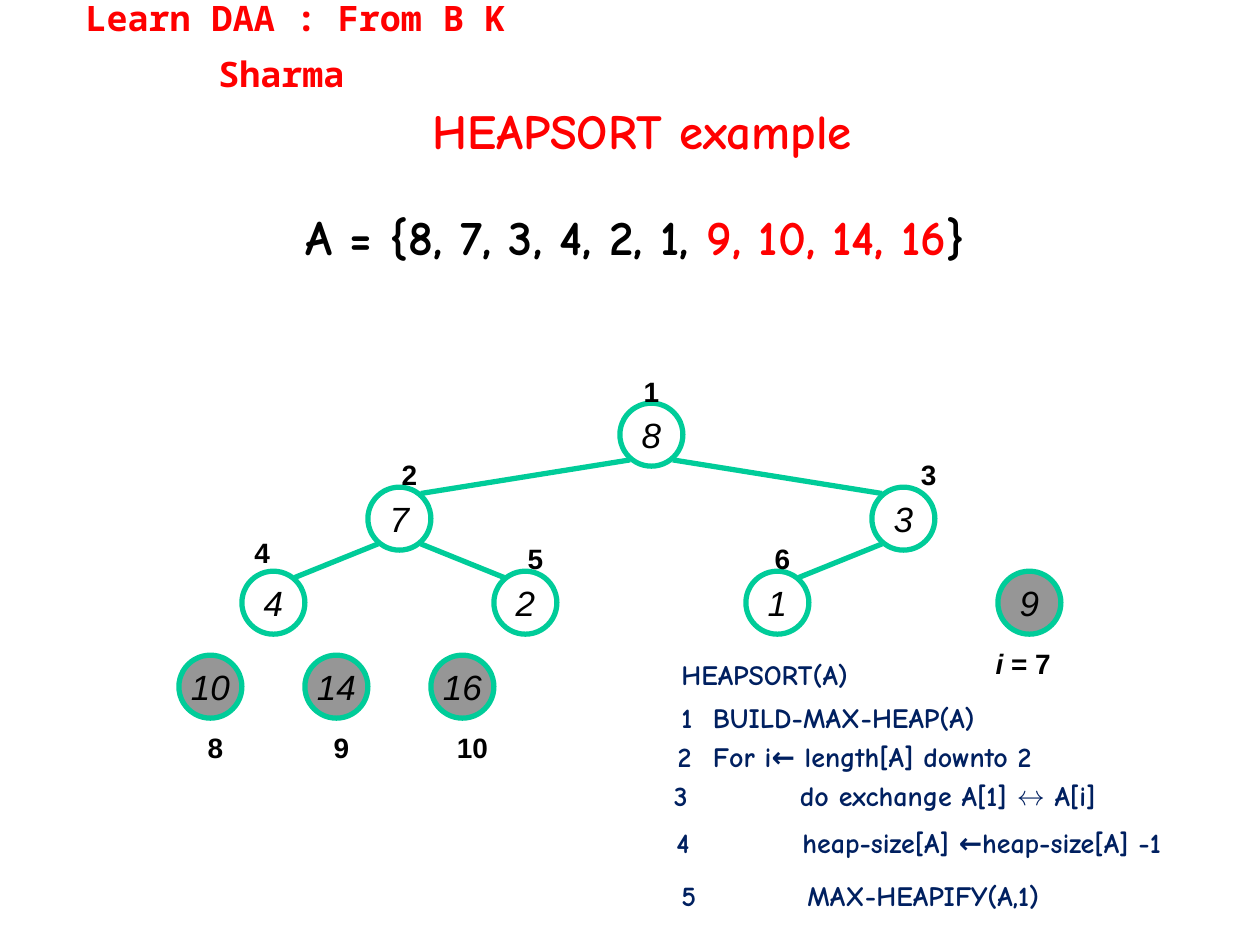
"""Build the heapsort example slide: array, heap tree and pseudocode."""
from lxml.etree import SubElement
from pptx import Presentation
from pptx.dml.color import RGBColor
from pptx.enum.shapes import MSO_CONNECTOR as Connector, MSO_SHAPE as Shape
from pptx.enum.text import MSO_ANCHOR as Anchor, PP_ALIGN as Align
from pptx.oxml.ns import qn
from pptx.util import Inches, Pt

GREEN, GREY, WHITE = "00CC99", "969696", "FFFFFF"
BLACK, RED, NAVY = "000000", "FF0000", "002060"
COLUMN, ROW, SIZE = 0.5, 2 / 3, 0.5
LEFT, TOP = 1.67, 3.45


def color(code):
    return RGBColor.from_string(code)


def write(box, spans, look, align=Align.CENTER, wrap=False):
    frame = box.text_frame
    frame.word_wrap = wrap
    para = frame.paragraphs[0]
    para.alignment = align
    for text, changes in spans:
        if text == "\n":
            para.add_line_break()
            continue
        span = para.add_run()
        span.text = text
        values = {**look, **changes}
        span.font.color.rgb = color(values.pop("color"))
        for name, value in values.items():
            setattr(span.font, name, value)
    return para


deck = Presentation()
deck.slide_width, deck.slide_height = Inches(10), Inches(7.5)
page = deck.slides.add_slide(deck.slide_layouts[6])

node_look = {"name": "Arial", "size": Pt(20), "italic": True, "color": BLACK}
label_look = {"name": "Arial", "size": Pt(16), "bold": True, "color": BLACK}
title_look = {"name": "Comic Neue", "size": Pt(28), "bold": True, "color": RED}
code_look = {**title_look, "size": Pt(16), "color": NAVY}
header_look = {**title_look, "name": "Noto Sans Mono", "size": Pt(20)}

nodes = [
    ("8", 7, 0, None), ("7", 3, 1, None), ("3", 11, 1, None),
    ("4", 1, 2, None), ("2", 5, 2, None), ("1", 9, 2, WHITE), ("9", 13, 2, GREY),
    ("10", 0, 3, GREY), ("14", 2, 3, GREY), ("16", 4, 3, GREY),
]
centers = []
for value, column, row, fill in nodes:
    x, y = LEFT + column * COLUMN, TOP + row * ROW
    centers.append((x, y))
    node = page.shapes.add_shape(
        Shape.OVAL, Inches(x - SIZE / 2), Inches(y - SIZE / 2), Inches(SIZE), Inches(SIZE))
    node.shadow.inherit = False
    if fill:
        node.fill.solid()
        node.fill.fore_color.rgb = color(fill)
    else:
        node.fill.background()
    node.line.color.rgb = color(GREEN)
    node.line.width = Pt(3)
    node.text_frame.vertical_anchor = Anchor.MIDDLE
    write(node, [(value, {})], node_look)

for child in range(1, 6):
    parent_x, parent_y = centers[(child - 1) // 2]
    child_x, child_y = centers[child]
    shift = 0.17 if child_x > parent_x else -0.17
    edge = page.shapes.add_connector(
        Connector.STRAIGHT, Inches(parent_x + shift), Inches(parent_y + 0.2),
        Inches(child_x - shift), Inches(child_y - 0.2))
    edge.line.color.rgb = color(GREEN)
    edge.line.width = Pt(3)
    SubElement(edge._element.spPr, qn("a:effectLst"))

labels = [
    ("1", 5.17, 2.92), ("2", 3.25, 3.58), ("3", 7.37, 3.58), ("4", 2.08, 4.2),
    ("5", 4.25, 4.25), ("6", 6.21, 4.25), ("8", 1.71, 5.75), ("9", 2.71, 5.75),
    ("10", 3.75, 5.75),
]
index_labels = [([(text, {})], x, y) for text, x, y in labels]
index_labels.append(([("i", {"italic": True}), (" = 7", {})], 8.12, 5.08))
for spans, x, y in index_labels:
    box = page.shapes.add_textbox(Inches(x - 0.42), Inches(y), Inches(0.84), Inches(0.37))
    write(box, spans, label_look, wrap=True)

headings = [
    (0.58, -0.08, 3.54, [("Learn DAA : From B K", {}), ("\n", {}), ("Sharma", {}),
                         (" ", {"size": Pt(28)})], header_look),
    (3.33, 0.75, 3.53, [("HEAPSORT example", {})], title_look),
    (1, 1.59, 8.08, [("A = {8, 7, 3, 4, 2, 1, ", {"color": BLACK}),
                     ("9, 10, 14, 16", {}), ("}", {"color": BLACK})], title_look),
]
for x, y, width, spans, look in headings:
    box = page.shapes.add_textbox(Inches(x), Inches(y), Inches(width), Inches(0.57))
    write(box, spans, look)

code_lines = [
    ("HEAPSORT(A)", 5.31, 5.17, 1.76, 1),
    ("1\tBUILD-MAX-HEAP(A)", 5.31, 5.51, 2.98, 0.25),
    ("2\tFor i← length[A] downto 2", 5.28, 5.82, 3.45, 0.28),
    ("3\tdo exchange A[1] ↔ A[i]", 5.25, 6.13, 4.03, 1),
    ("4\theap-size[A] ←heap-size[A] -1", 5.27, 6.5, 4.88, 1),
    ("5\tMAX-HEAPIFY(A,1)", 5.31, 6.92, 3.44, 1),
]
for text, x, y, width, stop in code_lines:
    box = page.shapes.add_textbox(Inches(x), Inches(y), Inches(width), Inches(0.37))
    para = write(box, [(text, {})], code_look, Align.LEFT)
    stops = SubElement(para._p.get_or_add_pPr(), qn("a:tabLst"))
    SubElement(stops, qn("a:tab"), pos=str(Inches(stop)), algn="l")

deck.save("out.pptx")
